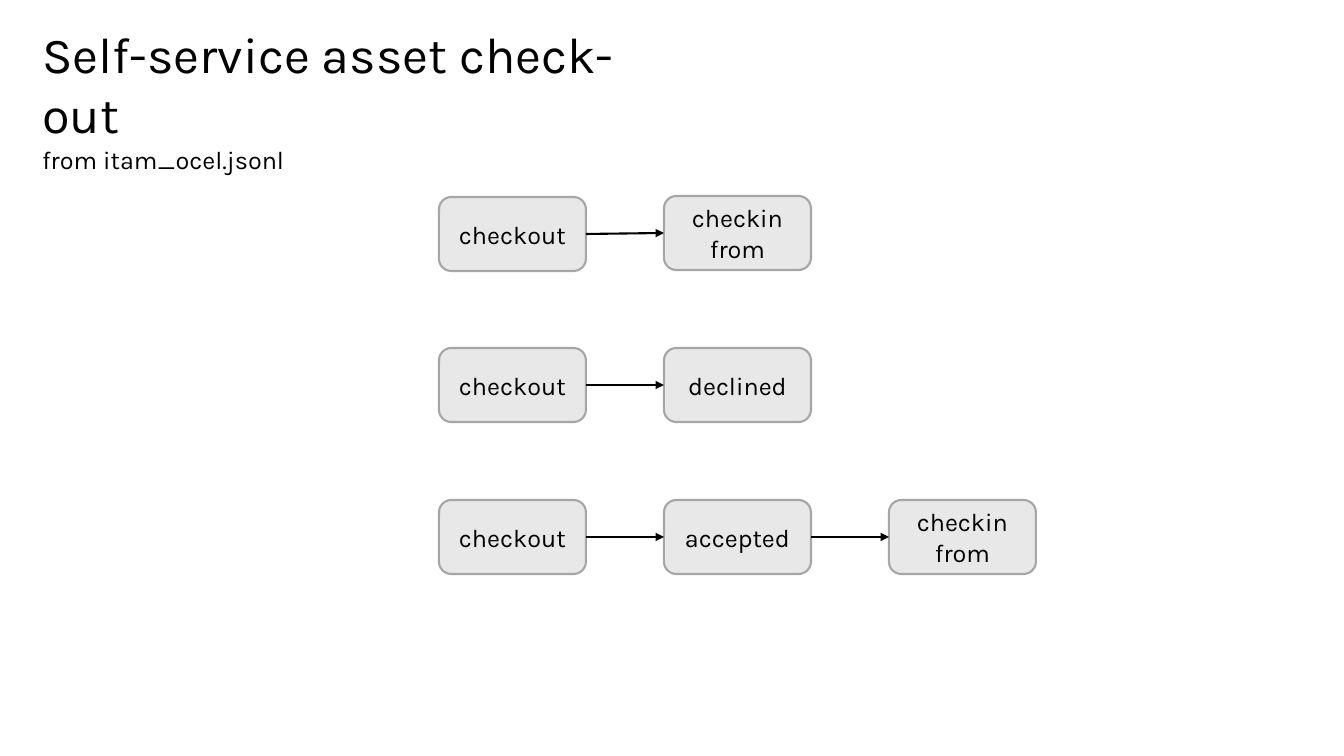
import pptx
import pptx.util
import pptx.dml.color
import pptx.enum.shapes
import pptx.enum.text
import pptx.oxml
import pptx.oxml.ns

PX = 914400 / 100.8
FONT = "Karla"
BLACK = pptx.dml.color.RGBColor(0x00, 0x00, 0x00)
BOX_FILL = pptx.dml.color.RGBColor(0xE8, 0xE8, 0xE8)
BOX_LINE = pptx.dml.color.RGBColor(0xA6, 0xA6, 0xA6)
BOX_W, BOX_H = 147, 74
BOX_LEFT, BOX_STEP = 439, 225
RIGHT_SITE, LEFT_SITE = 3, 1


def px(n):
    return pptx.util.Emu(round(n * PX))


def write(tf, lines, sizes, align, anchor):
    tf.text = "\n".join(lines)
    tf.word_wrap = True
    tf.auto_size = pptx.enum.text.MSO_AUTO_SIZE.NONE
    tf.vertical_anchor = anchor
    for p, size in zip(tf.paragraphs, sizes):
        p.alignment = align
        for r in p.runs:
            r.font.name = FONT
            r.font.size = pptx.util.Pt(size)
            r.font.color.rgb = BLACK


prs = pptx.Presentation()
prs.slide_width, prs.slide_height = px(1344), px(756)
s = prs.slides.add_slide(prs.slide_layouts[5])

# Title with its data source
title = s.shapes.title
title.left, title.top, title.width, title.height = px(32), px(18), px(644), px(102)
write(title.text_frame, ["Self-service asset check-out", "from itam_ocel.jsonl"], [36, 18],
      pptx.enum.text.PP_ALIGN.LEFT, pptx.enum.text.MSO_ANCHOR.TOP)

# Process variants: the top of each step and its label lines
variants = [
    [(197, ["checkout"]), (196, ["checkin", "from"])],
    [(348, ["checkout"]), (348, ["declined"])],
    [(500, ["checkout"]), (500, ["accepted"]), (500, ["checkin", "from"])],
]
for steps in variants:
    previous = None
    for i, (top, lines) in enumerate(steps):
        # Step box
        sp = s.shapes.add_shape(pptx.enum.shapes.MSO_SHAPE.ROUNDED_RECTANGLE,
                                px(BOX_LEFT + i * BOX_STEP), px(top), px(BOX_W), px(BOX_H))
        sp.shadow.inherit = False
        sp.fill.solid()
        sp.fill.fore_color.rgb = BOX_FILL
        sp.line.color.rgb = BOX_LINE
        sp.line.width = pptx.util.Pt(1.5)
        write(sp.text_frame, lines, [18] * len(lines),
              pptx.enum.text.PP_ALIGN.CENTER, pptx.enum.text.MSO_ANCHOR.MIDDLE)

        # Arrow from the previous step
        if previous is not None:
            arrow = s.shapes.add_connector(pptx.enum.shapes.MSO_CONNECTOR.STRAIGHT, 0, 0, 0, 0)
            arrow.begin_connect(previous, RIGHT_SITE)
            arrow.end_connect(sp, LEFT_SITE)
            arrow.line.color.rgb = BLACK
            arrow.line.width = pptx.util.Pt(1.5)
            ln = arrow.line._get_or_add_ln()
            ln.append(pptx.oxml.parse_xml(
                f'<a:tailEnd {pptx.oxml.ns.nsdecls("a")} type="triangle"/>'))
            ln.addnext(pptx.oxml.parse_xml(f'<a:effectLst {pptx.oxml.ns.nsdecls("a")}/>'))
        previous = sp

prs.save("out.pptx")
